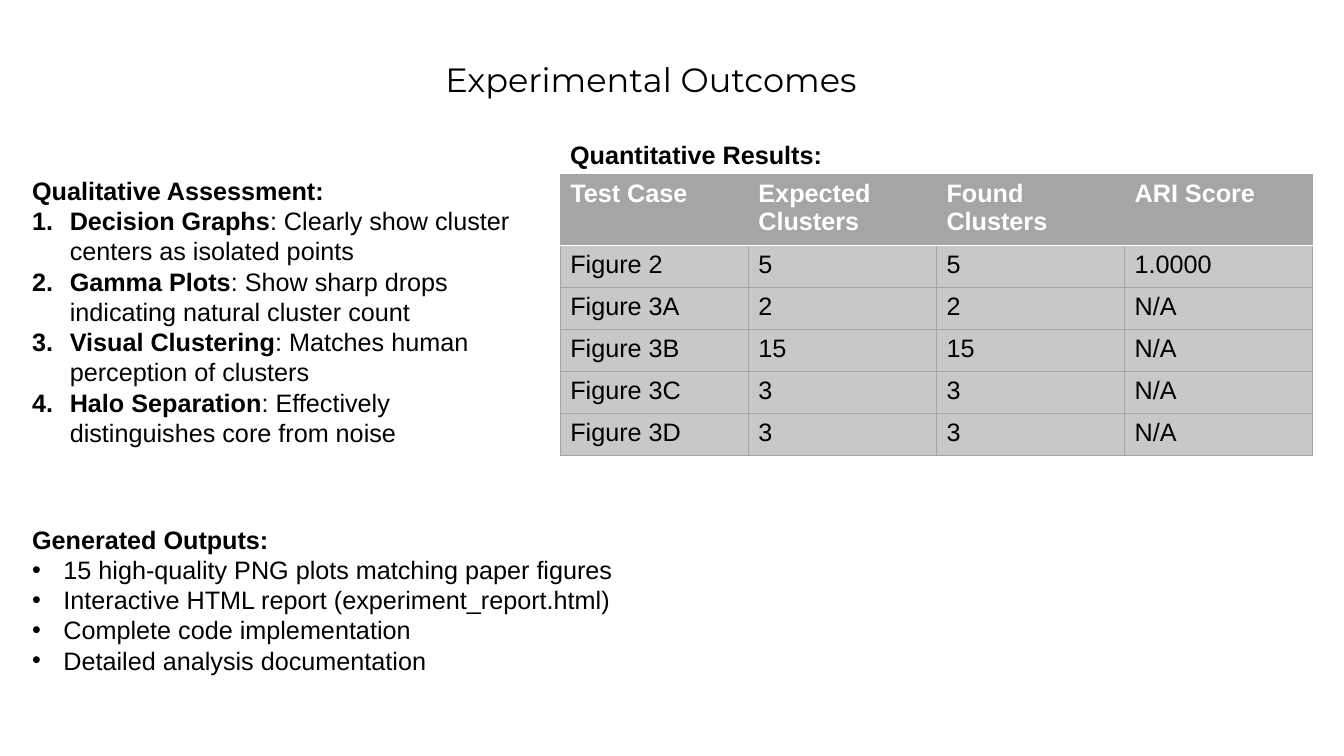
from lxml import etree
from pptx import Presentation
from pptx.dml.color import RGBColor
from pptx.enum.text import MSO_ANCHOR, MSO_AUTO_SIZE, PP_ALIGN
from pptx.oxml.ns import qn
from pptx.util import Cm, Pt

CENTER = PP_ALIGN.CENTER
MIDDLE = MSO_ANCHOR.MIDDLE
GROW = MSO_AUTO_SIZE.SHAPE_TO_FIT_TEXT
BLACK, WHITE, GREY, LIGHT_GREY = "000000", "FFFFFF", "A5A5A5", "C8C8C8"


def color(hex_string):
    return RGBColor.from_string(hex_string)


def add_run(paragraph, text, bold=False, hex_string=BLACK, size=18, font="Arial"):
    run = paragraph.add_run()
    run.text = text
    run.font.name = font
    run.font.size = Pt(size)
    run.font.bold = bold
    run.font.color.rgb = color(hex_string)


prs = Presentation()
prs.slide_width, prs.slide_height = Cm(33.87), Cm(19.05)
slide = prs.slides.add_slide(prs.slide_layouts[6])

# Title, raised above the middle of its box by a deep bottom inset
title = slide.shapes.add_textbox(Cm(1.8), Cm(0.71), Cm(29.21), Cm(3.68)).text_frame
title.word_wrap = True
title.vertical_anchor = MIDDLE
title.margin_bottom = Cm(1.12)
title.paragraphs[0].alignment = CENTER
title.paragraphs[0].line_spacing = 0.9
add_run(title.paragraphs[0], "Experimental Outcomes", size=24, font="Montserrat")

# Headed text blocks: box, heading, indent, bullet tag and attributes, items of (bold, plain)
NUMBER = ("a:buAutoNum", {"type": "arabicPeriod"})
DOT = ("a:buChar", {"char": "•"})
sections = [
    ((14.12, 3.38, 7.06, 1.02), "Quantitative Results:", 0, None, []),
    ((0.56, 4.29, 12.78, 7.19), "Qualitative Assessment:", 0.95, NUMBER, [
        ("Decision Graphs", ": Clearly show cluster centers as isolated points"),
        ("Gamma Plots", ": Show sharp drops indicating natural cluster count"),
        ("Visual Clustering", ": Matches human perception of clusters"),
        ("Halo Separation", ": Effectively distinguishes core from noise"),
    ]),
    ((0.56, 13.08, 24.46, 4.09), "Generated Outputs:", 0.79, DOT, [
        ("", "15 high-quality PNG plots matching paper figures"),
        ("", "Interactive HTML report (experiment_report.html)"),
        ("", "Complete code implementation"),
        ("", "Detailed analysis documentation"),
    ]),
]
for box, heading, indent, bullet, items in sections:
    frame = slide.shapes.add_textbox(*[Cm(length) for length in box]).text_frame
    frame.word_wrap = True
    frame.auto_size = GROW
    add_run(frame.paragraphs[0], heading, bold=True)
    for term, description in items:
        item = frame.add_paragraph()
        properties = item._p.get_or_add_pPr()
        properties.set("marL", str(Cm(indent)))
        properties.set("indent", str(-Cm(indent)))
        etree.SubElement(properties, qn("a:buFont"), typeface="Arial")
        etree.SubElement(properties, qn(bullet[0]), bullet[1])
        if term:
            add_run(item, term, bold=True)
        add_run(item, description)

# Results table
results = [
    ("Test Case", "Expected Clusters", "Found Clusters", "ARI Score"),
    ("Figure 2", "5", "5", "1.0000"),
    ("Figure 3A", "2", "2", "N/A"),
    ("Figure 3B", "15", "15", "N/A"),
    ("Figure 3C", "3", "3", "N/A"),
    ("Figure 3D", "3", "3", "N/A"),
]
column_width, header_height, row_height = 4.74, 1.78, 1.06
table = slide.shapes.add_table(
    len(results), len(results[0]), Cm(14.12), Cm(4.4),
    Cm(column_width * len(results[0])),
    Cm(header_height + row_height * (len(results) - 1)),
).table
for column in table.columns:
    column.width = Cm(column_width)
for row_index, values in enumerate(results):
    is_header = row_index == 0
    table.rows[row_index].height = Cm(header_height if is_header else row_height)
    for column_index, value in enumerate(values):
        cell = table.cell(row_index, column_index)
        add_run(cell.text_frame.paragraphs[0], value, is_header, WHITE if is_header else BLACK)
        for side in ("L", "R", "T", "B"):
            under_header = (row_index, side) in ((0, "B"), (1, "T"))
            border = etree.SubElement(cell._tc.get_or_add_tcPr(), qn("a:ln" + side),
                                      w=str(Pt(1 if under_header else 0.5)))
            border_fill = etree.SubElement(border, qn("a:solidFill"))
            etree.SubElement(border_fill, qn("a:srgbClr"), val=WHITE if under_header else GREY)
        cell.fill.solid()
        cell.fill.fore_color.rgb = color(GREY if is_header else LIGHT_GREY)

prs.save("out.pptx")
